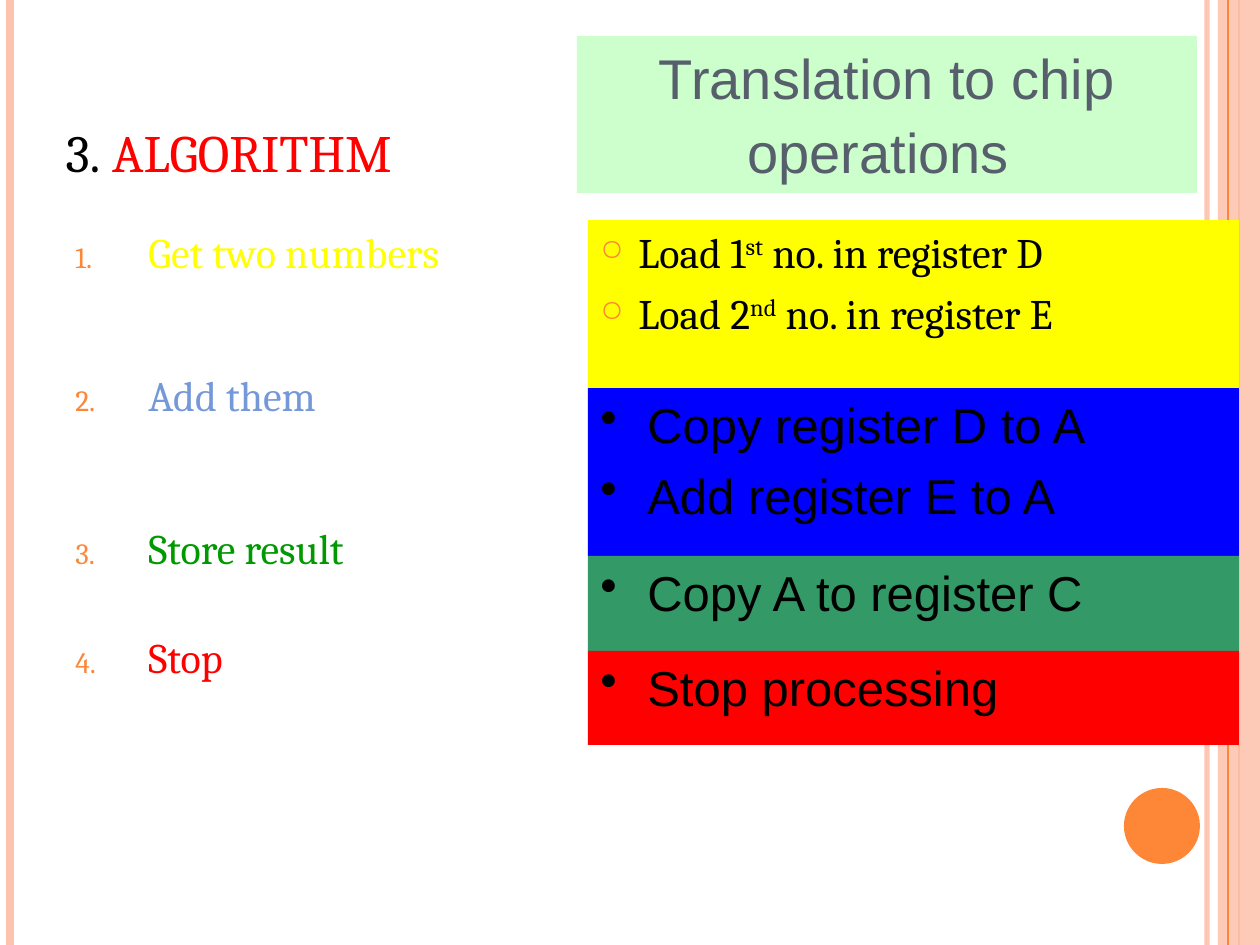
from lxml.etree import SubElement
from pptx import Presentation
from pptx.dml.color import RGBColor
from pptx.enum.shapes import MSO_CONNECTOR, MSO_SHAPE
from pptx.enum.text import MSO_ANCHOR, MSO_AUTO_SIZE, PP_ALIGN
from pptx.oxml.ns import qn
from pptx.util import Pt

PX = 914400 / 126
COLORS = {
    "black": "000000", "red": "FF0000", "yellow": "FFFF00", "blue": "0000FF",
    "sky": "7598D9", "green": "009900", "sea": "339966", "mint": "CCFFCC",
    "slate": "575F6D", "orange": "FE8637", "peach": "FEC3AE",
}
RGB = {name: RGBColor.from_string(value) for name, value in COLORS.items()}

deck = Presentation()
deck.slide_width, deck.slide_height = round(1260 * PX), round(945 * PX)
slide = deck.slides.add_slide(deck.slide_layouts[5])


def add_block(kind, box, color):
    block = slide.shapes.add_shape(kind, *(round(v * PX) for v in box))
    block.shadow.inherit = False
    block.fill.solid()
    block.fill.fore_color.rgb = RGB[color]
    block.line.fill.background()
    block.text_frame.word_wrap = True
    block.text_frame.vertical_anchor = MSO_ANCHOR.TOP
    return block


def add_bullet(paragraph, indent, color, size, tag, **marker):
    properties = paragraph._p.get_or_add_pPr()
    properties.set("marL", str(round(indent * PX)))
    properties.set("indent", str(-round(indent * PX)))
    bullet_color = SubElement(properties, qn("a:buClr"))
    SubElement(bullet_color, qn("a:srgbClr")).set("val", COLORS[color])
    SubElement(properties, qn("a:buSzPct")).set("val", str(size * 1000))
    bullet = SubElement(properties, qn(tag))
    for key, value in marker.items():
        bullet.set(key, value)


stripes = []
for x, color, weight in [(1207, "peach", 3), (10, "peach", 4.5),
                         (1239, "orange", 1.5), (1228, "orange", 0.75)]:
    stripe = slide.shapes.add_connector(
        MSO_CONNECTOR.STRAIGHT, round(x * PX), 0, round(x * PX), deck.slide_height)
    stripe.line.color.rgb = RGB[color]
    stripe.line.width = Pt(weight)
    SubElement(stripe._element.spPr, qn("a:effectLst"))
    stripes.append(stripe)
    if x == 1239:
        band = add_block(MSO_SHAPE.RECTANGLE, (1218, 0, 42, 945), "peach")

for part, opacity in [(stripes[0], 93), (band, 87)]:
    tint = part._element.spPr.find(".//" + qn("a:srgbClr"))
    SubElement(tint, qn("a:alpha")).set("val", str(opacity * 1000))

add_block(MSO_SHAPE.OVAL, (1124, 788, 76, 76), "orange")

title = slide.shapes.title
title.left, title.top, title.width, title.height = (
    round(v * PX) for v in (53, 32, 482, 157))
title.text_frame.auto_size = MSO_AUTO_SIZE.NONE
title.text_frame.vertical_anchor = MSO_ANCHOR.BOTTOM
title_line = title.text_frame.paragraphs[0]
title_line.alignment = PP_ALIGN.LEFT
title_line.font.size = Pt(30)
title_line.font.name = "Cambria"
for text, color in [("3.", "black"), (" ALGORITHM", "red")]:
    run = title_line.add_run()
    run.text = text
    run.font.color.rgb = RGB[color]

steps = slide.shapes.add_textbox(*(round(v * PX) for v in (63, 220, 504, 624))).text_frame
steps.word_wrap = True
for number, (text, color, gap) in enumerate([
        ("Get two numbers", "yellow", 0), ("Add them", "sky", 52.8),
        ("Store result", "green", 58.8), ("Stop", "red", 33.6)], start=1):
    step = steps.paragraphs[0] if number == 1 else steps.add_paragraph()
    add_bullet(step, 73, "orange", 70, "a:buAutoNum",
               type="arabicPeriod", startAt=str(number))
    step.add_run().text = text
    step.space_before = Pt(gap)
    step.font.size = Pt(24)
    step.font.name = "Cambria"
    step.font.color.rgb = RGB[color]

heading = add_block(MSO_SHAPE.RECTANGLE, (577, 36, 620, 157), "mint").text_frame
heading.vertical_anchor = MSO_ANCHOR.MIDDLE
heading_line = heading.paragraphs[0]
heading_line.alignment = PP_ALIGN.CENTER
heading_line.font.name = "Arial"
heading_line.font.color.rgb = RGB["slate"]
for text, size in [("Translation to chip operations", 32), (" ", 36)]:
    run = heading_line.add_run()
    run.text = text
    run.font.size = Pt(size)

cambria_style = ("Cambria", 24, 6, (38, "orange", 70), "○")
arial_style = ("Arial", 28, 7, (47, "black", 100), "•")
operations = [
    (168, "yellow", cambria_style, [("Load 1", "st", " no. in register D"),
                                    ("Load 2", "nd", " no. in register E")]),
    (168, "blue", arial_style, [("Copy register D to A",), ("Add register E to A",)]),
    (95, "sea", arial_style, [("Copy A to register C",)]),
    (94, "red", arial_style, [("Stop processing",)]),
]
top = 220
for height, color, (font, size, gap, bullet, sign), lines in operations:
    frame = add_block(MSO_SHAPE.RECTANGLE, (588, top, 651, height), color).text_frame
    top += height
    for index, pieces in enumerate(lines):
        operation = frame.add_paragraph() if index else frame.paragraphs[0]
        add_bullet(operation, *bullet, "a:buChar", char=sign)
        operation.alignment = PP_ALIGN.LEFT
        operation.space_before = Pt(gap if index else 0)
        operation.font.name = font
        operation.font.size = Pt(size)
        operation.font.color.rgb = RGB["black"]
        for piece in pieces:
            run = operation.add_run()
            run.text = piece
            if piece in ("st", "nd"):
                run._r.get_or_add_rPr().set("baseline", "30000")

deck.save("out.pptx")
